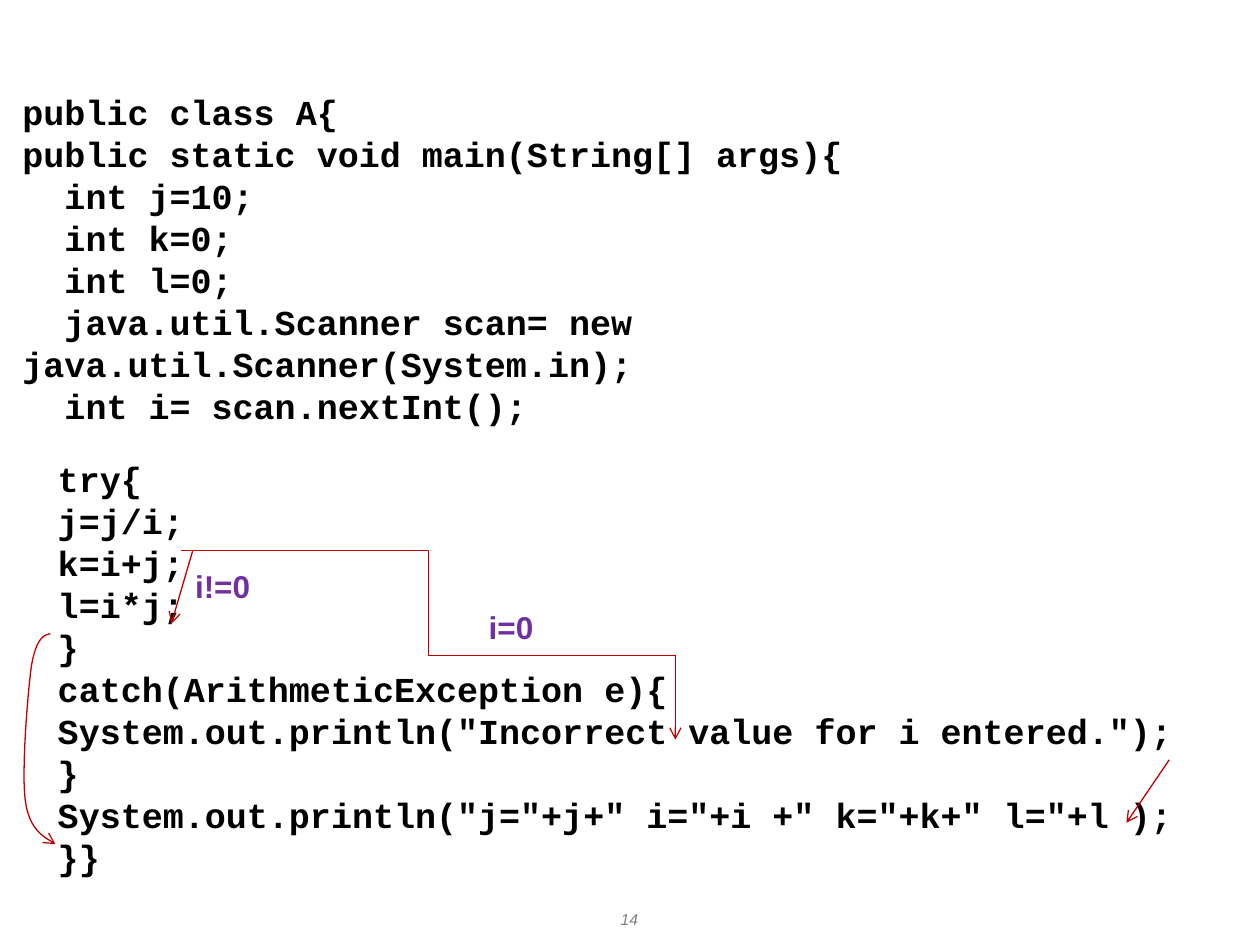
from lxml.etree import SubElement
from pptx import Presentation
from pptx.dml.color import RGBColor
from pptx.enum.shapes import MSO_CONNECTOR
from pptx.enum.text import MSO_AUTO_SIZE, PP_ALIGN
from pptx.oxml.ns import qn
from pptx.util import Inches, Pt

RED = RGBColor(0xC0, 0x00, 0x00)
PURPLE = RGBColor(0x70, 0x30, 0xA0)
BLACK = RGBColor(0x00, 0x00, 0x00)
GRAY = RGBColor(0x80, 0x80, 0x80)

CODE = {"name": "Courier New", "size": Pt(20), "bold": True}
LABEL = {"name": "Arial", "size": Pt(18), "bold": True}
NUMBER = {"name": "Arial", "size": Pt(9), "italic": True}

SETUP_CODE = [
    "public class A{",
    "public static void main(String[] args){",
    "  int j=10;",
    "  int k=0;",
    "  int l=0;",
    "  java.util.Scanner scan= new java.util.Scanner(System.in);",
    "  int i= scan.nextInt();",
]
TRY_CODE = [
    "try{",
    "j=j/i;",
    "k=i+j;",
    "l=i*j;",
    "}",
    "catch(ArithmeticException e){",
    'System.out.println("Incorrect value for i entered.");',
    "}",
    'System.out.println("j="+j+" i="+i +" k="+k+" l="+l );',
    "}}",
]

# lines, (left, top, width, height), font, colour, alignment, wrap
TEXTS = [
    (TRY_CODE, (0.36, 3.58, 9.42, 3.44), CODE, BLACK, PP_ALIGN.LEFT, True),
    (["i=0"], (3.78, 4.78, 0.58, 0.4), LABEL, PURPLE, PP_ALIGN.LEFT, False),
    (["i!=0"], (1.45, 4.45, 0.64, 0.4), LABEL, PURPLE, PP_ALIGN.LEFT, False),
    (SETUP_CODE, (0.08, 0.67, 9.75, 2.77), CODE, BLACK, PP_ALIGN.LEFT, True),
    (["14"], (3.83, 7.17, 2.33, 0.26), NUMBER, GRAY, PP_ALIGN.CENTER, True),
]

# kind, start, end, arrowhead
CONNECTORS = [
    (MSO_CONNECTOR.ELBOW, (1.44, 4.37), (5.36, 5.2), False),
    (MSO_CONNECTOR.STRAIGHT, (5.36, 5.2), (5.36, 5.87), True),
    (MSO_CONNECTOR.STRAIGHT, (9.28, 6.03), (8.94, 6.53), True),
    (MSO_CONNECTOR.STRAIGHT, (1.53, 4.37), (1.36, 4.95), True),
]

# Flow from the end of the try block to the last print: Bézier knots and handles
FLOW_START = (0.4, 5.03)
FLOW_CURVES = [
    ((0.35, 5.04), (0.29, 5.06), (0.25, 5.28)),
    ((0.22, 5.5), (0.17, 6.11), (0.2, 6.35)),
    ((0.23, 6.58), (0.34, 6.64), (0.44, 6.7)),
]
CURVE_STEPS = 12


def add_text(slide, lines, place, font, color, alignment, wrap):
    box = slide.shapes.add_textbox(*map(Inches, place))
    frame = box.text_frame
    frame.word_wrap = wrap
    if not wrap:
        frame.auto_size = MSO_AUTO_SIZE.SHAPE_TO_FIT_TEXT
    for index, line in enumerate(lines):
        para = frame.paragraphs[0] if index == 0 else frame.add_paragraph()
        para.alignment = alignment
        span = para.add_run()
        span.text = line
        for name, value in font.items():
            setattr(span.font, name, value)
        span.font.color.rgb = color


def style_line(shape, arrow):
    shape.line.color.rgb = RED
    shape.line.width = Pt(0.75)
    properties = shape._element.spPr
    if arrow:
        SubElement(properties.find(qn("a:ln")), qn("a:tailEnd"), type="arrow")
    SubElement(properties, qn("a:effectLst"))


def curve_points(start, curves):
    """Return points along a chain of cubic Bézier curves."""
    points = [start]
    for first, second, end in curves:
        for step in range(1, CURVE_STEPS + 1):
            t = step / CURVE_STEPS
            u = 1 - t
            points.append(tuple(
                u**3 * a + 3 * u * u * t * b + 3 * u * t * t * c + t**3 * d
                for a, b, c, d in zip(start, first, second, end)
            ))
        start = end
    return points


def add_flow(slide):
    start, *rest = [tuple(map(Inches, point))
                    for point in curve_points(FLOW_START, FLOW_CURVES)]
    builder = slide.shapes.build_freeform(*start)
    builder.add_line_segments(rest, close=False)
    flow = builder.convert_to_shape()
    flow.fill.background()
    style_line(flow, True)


def main():
    deck = Presentation()
    deck.slide_width, deck.slide_height = Inches(10), Inches(7.5)
    slide = deck.slides.add_slide(deck.slide_layouts[6])
    for text in TEXTS:
        add_text(slide, *text)
    for kind, start, end, arrow in CONNECTORS:
        connector = slide.shapes.add_connector(kind, *map(Inches, start + end))
        style_line(connector, arrow)
    add_flow(slide)
    deck.save("out.pptx")


if __name__ == "__main__":
    main()
